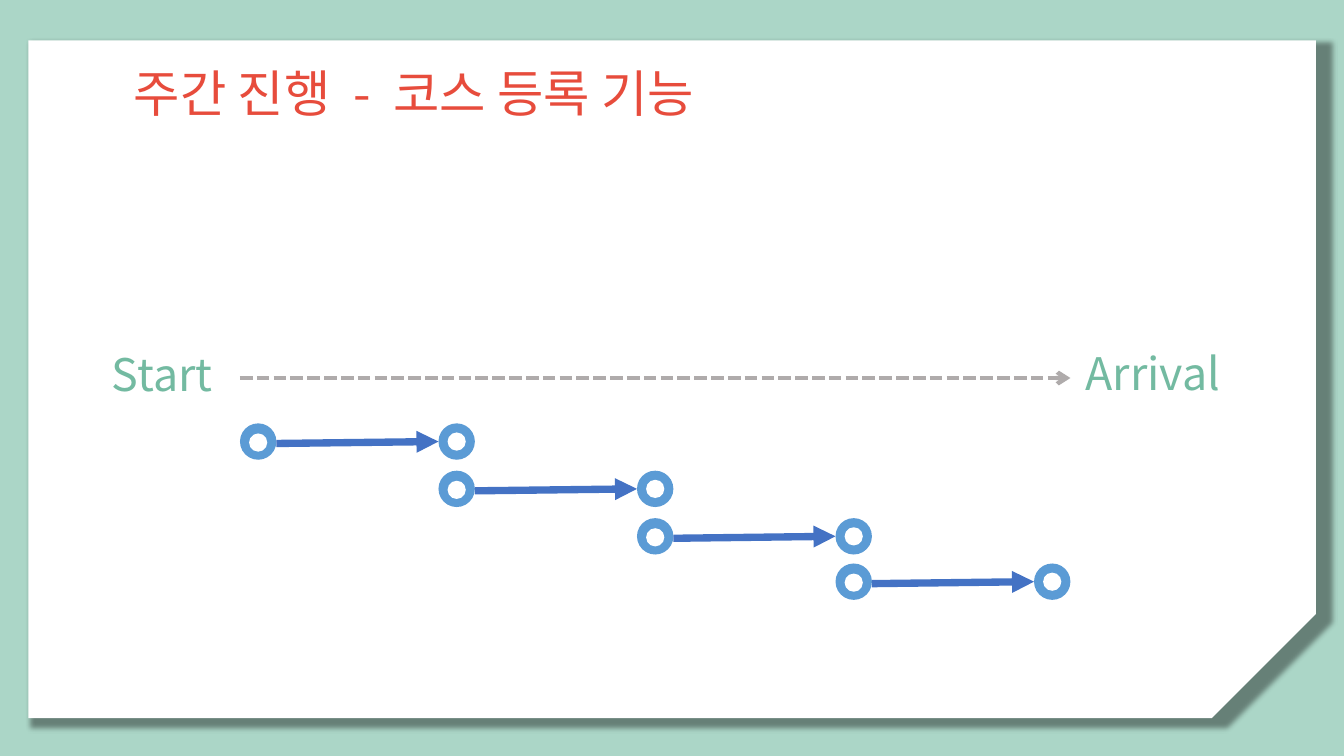
from dataclasses import dataclass
from typing import Optional

from lxml.etree import SubElement
from pptx import Presentation
from pptx.dml.color import RGBColor
from pptx.enum.dml import MSO_LINE
from pptx.enum.shapes import MSO_CONNECTOR, MSO_SHAPE
from pptx.enum.text import MSO_AUTO_SIZE, PP_ALIGN
from pptx.oxml.ns import qn
from pptx.util import Pt

COLORS = {
    "background": "ABD6C7",
    "paper": "FFFFFF",
    "shadow": "000000",
    "label": "73BAA1",
    "title": "E74C3C",
    "timeline": "AFABAB",
    "ring": "5B9BD5",
    "arrow": "4472C4",
}
FONT_NAME = "Noto Sans CJK KR"
PAPER_OUTLINE = [(20.2, 28.8), (940, 28.8), (940, 438.5), (865.5, 513), (20.2, 513)]
RING_SIZE = 26
HOLE_SIZE = 13
STAGE_LEFT = 171.4
STAGE_STEP = 141.8
STAGE_TOPS = [302.4, 336.2, 370.1, 402.5]


@dataclass
class Run:
    text: str
    spacing: float = 0


@dataclass
class Label:
    runs: list[Run]
    left: float
    top: float
    width: float
    height: float
    size: float
    color: str
    alignment: Optional[PP_ALIGN] = None


@dataclass
class Arrow:
    start: tuple[float, float]
    end: tuple[float, float]
    width: float
    color: str
    head: str
    dash: Optional[MSO_LINE] = None


LABELS = [
    Label([Run("Start")], 72.7, 244.1, 130.3, 46, 32, "label"),
    Label([Run("Arrival")], 768.2, 243.4, 130.3, 46, 32, "label"),
    Label([Run("주간 진행"), Run(" -", 8), Run(" 코스 등록 기능")],
          88.6, 41, 501.8, 51, 36, "title", PP_ALIGN.JUSTIFY),
]
TIMELINE = Arrow((171.4, 270), (764.6, 270), 3, "timeline", "arrow", MSO_LINE.SQUARE_DOT)


def color_of(name: str) -> RGBColor:
    return RGBColor.from_string(COLORS[name])


def fill_plain(shape, color: str) -> None:
    shape.shadow.inherit = False
    shape.fill.solid()
    shape.fill.fore_color.rgb = color_of(color)
    shape.line.fill.background()


def draw_paper(slide) -> None:
    points = [(Pt(x), Pt(y)) for x, y in PAPER_OUTLINE]
    builder = slide.shapes.build_freeform(*points[0], scale=1.0)
    builder.add_line_segments(points[1:], close=True)
    paper = builder.convert_to_shape()
    fill_plain(paper, "paper")
    effects = paper._element.spPr.find(qn("a:effectLst"))
    shadow = SubElement(effects, qn("a:outerShdw"), blurRad=str(Pt(4)), dist=str(Pt(3)),
                        dir="2700000", sx="101000", sy="101000", algn="tl", rotWithShape="0")
    shade = SubElement(shadow, qn("a:srgbClr"), val=COLORS["shadow"])
    SubElement(shade, qn("a:alpha"), val="40000")


def draw_label(slide, label: Label) -> None:
    box = slide.shapes.add_textbox(Pt(label.left), Pt(label.top), Pt(label.width), Pt(label.height))
    frame = box.text_frame
    frame.word_wrap = True
    frame.auto_size = MSO_AUTO_SIZE.SHAPE_TO_FIT_TEXT
    paragraph = frame.paragraphs[0]
    paragraph.alignment = label.alignment
    for part in label.runs:
        run = paragraph.add_run()
        run.text = part.text
        if part.spacing:
            run._r.get_or_add_rPr().set("spc", str(int(part.spacing * 100)))
    font = paragraph.font
    font.size = Pt(label.size)
    font.name = FONT_NAME
    font.color.rgb = color_of(label.color)
    SubElement(font._element, qn("a:ea"), typeface=FONT_NAME)


def draw_arrow(shapes, arrow: Arrow) -> None:
    connector = shapes.add_connector(
        MSO_CONNECTOR.STRAIGHT, *(Pt(value) for value in arrow.start + arrow.end))
    line = connector.line
    line.color.rgb = color_of(arrow.color)
    line.width = Pt(arrow.width)
    if arrow.dash:
        line.dash_style = arrow.dash
    SubElement(line._get_or_add_ln(), qn("a:tailEnd"), type=arrow.head)
    SubElement(connector._element.spPr, qn("a:effectLst"))


def draw_circle(shapes, left: float, top: float, size: float, color: str) -> None:
    circle = shapes.add_shape(MSO_SHAPE.OVAL, Pt(left), Pt(top), Pt(size), Pt(size))
    fill_plain(circle, color)


def draw_stage(slide, left: float, top: float) -> None:
    shapes = slide.shapes.add_group_shape().shapes
    right = left + STAGE_STEP
    for ring_left in (left, right):
        draw_circle(shapes, ring_left, top, RING_SIZE, "ring")
    draw_arrow(shapes, Arrow((left + RING_SIZE, top + 14.4), (right, top + 13),
                             5.25, "arrow", "triangle"))
    inset = (RING_SIZE - HOLE_SIZE) / 2
    for ring_left, drop in ((left, 0.7), (right, 0)):
        draw_circle(shapes, ring_left + inset, top + inset + drop, HOLE_SIZE, "paper")


def main() -> None:
    presentation = Presentation()
    presentation.slide_width = Pt(960)
    presentation.slide_height = Pt(540)
    slide = presentation.slides.add_slide(presentation.slide_layouts[6])
    slide.background.fill.solid()
    slide.background.fill.fore_color.rgb = color_of("background")
    draw_paper(slide)
    draw_arrow(slide.shapes, TIMELINE)
    for index, top in enumerate(STAGE_TOPS):
        draw_stage(slide, STAGE_LEFT + index * STAGE_STEP, top)
    for label in LABELS:
        draw_label(slide, label)
    presentation.save("out.pptx")


if __name__ == "__main__":
    main()
